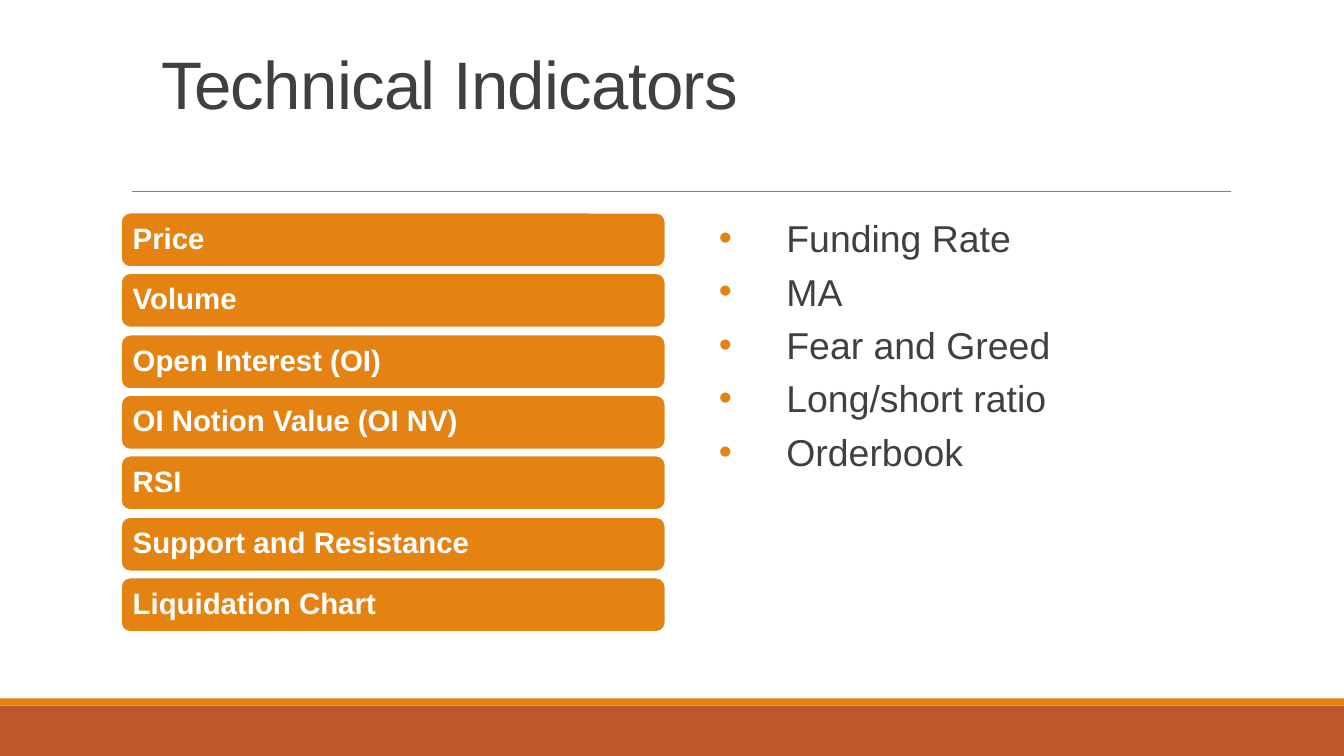
"""Build the Technical Indicators slide."""
from lxml import etree
from pptx import Presentation
from pptx.dml.color import RGBColor
from pptx.enum.shapes import MSO_CONNECTOR, MSO_SHAPE
from pptx.enum.text import MSO_ANCHOR, MSO_AUTO_SIZE, PP_ALIGN
from pptx.oxml.ns import qn
from pptx.util import Emu, Pt

RECTANGLE = MSO_SHAPE.RECTANGLE
ROUNDED = MSO_SHAPE.ROUNDED_RECTANGLE
STRAIGHT = MSO_CONNECTOR.STRAIGHT
TOP = MSO_ANCHOR.TOP
MIDDLE = MSO_ANCHOR.MIDDLE
LEFT = PP_ALIGN.LEFT

EMU_PER_PX = 9144
SLIDE_WIDTH, SLIDE_HEIGHT = 1333, 750
FONT = "Arial"
ORANGE = RGBColor(0xE4, 0x83, 0x12)
RUST = RGBColor(0xBD, 0x58, 0x2C)
WHITE = RGBColor(0xFF, 0xFF, 0xFF)
DARK = RGBColor(0x40, 0x40, 0x40)
GRAY = RGBColor(0x80, 0x80, 0x80)

INDICATORS = ["Price", "Volume", "Open Interest (OI)", "OI Notion Value (OI NV)",
              "RSI", "Support and Resistance", "Liquidation Chart"]
MORE_INDICATORS = ["Funding Rate", "MA", "Fear and Greed", "Long/short ratio",
                   "Orderbook"]
FIRST_BAR_TOP, LAST_BAR_TOP = 211, 573


def px(length):
    return Emu(length * EMU_PER_PX)


def set_margins(text_frame, horizontal, vertical):
    text_frame.margin_left = text_frame.margin_right = px(horizontal)
    text_frame.margin_top = text_frame.margin_bottom = px(vertical)


def style_font(font, size, color, bold=False):
    font.name = FONT
    font.size = Pt(size)
    font.bold = bold
    font.color.rgb = color


def add_block(slide, kind, left, top, width, height, fill):
    shape = slide.shapes.add_shape(kind, px(left), px(top), px(width), px(height))
    shape.shadow.inherit = False
    shape.fill.solid()
    shape.fill.fore_color.rgb = fill
    shape.line.fill.background()
    return shape


def add_rule(slide, left, right, y):
    rule = slide.shapes.add_connector(STRAIGHT, px(left), px(y), px(right), px(y))
    rule.line.color.rgb = GRAY
    rule.line.width = Pt(0.5)
    etree.SubElement(rule._element.spPr, qn("a:effectLst"))


def format_title(slide, text):
    title = slide.shapes.title
    title.left, title.top, title.width, title.height = map(px, (160, 42, 1467, 81))
    text_frame = title.text_frame
    text_frame.text = text
    text_frame.auto_size = MSO_AUTO_SIZE.SHAPE_TO_FIT_TEXT
    text_frame.vertical_anchor = TOP
    set_margins(text_frame, 0, 0)
    paragraph = text_frame.paragraphs[0]
    paragraph.alignment = LEFT
    run = paragraph.runs[0]
    style_font(run.font, 48, DARK)
    run.font._element.set("spc", "-50")


def add_indicator_bar(slide, text, top):
    bar = add_block(slide, ROUNDED, 120, top, 540, 54, ORANGE)
    bar.line.color.rgb = WHITE
    bar.line.width = Pt(1.25)
    text_frame = bar.text_frame
    text_frame.text = text
    text_frame.word_wrap = True
    text_frame.vertical_anchor = MIDDLE
    set_margins(text_frame, 9, 9)
    paragraph = text_frame.paragraphs[0]
    paragraph.alignment = LEFT
    paragraph.line_spacing = 0.9
    style_font(paragraph.runs[0].font, 21, WHITE, bold=True)


def add_bullet(paragraph):
    properties = paragraph._p.get_or_add_pPr()
    properties.set("marL", str(px(100)))
    properties.set("indent", str(px(-67)))
    color = etree.SubElement(properties, qn("a:buClr"))
    etree.SubElement(color, qn("a:srgbClr"), val=str(ORANGE))
    etree.SubElement(properties, qn("a:buFont"), typeface=FONT)
    etree.SubElement(properties, qn("a:buChar"), char="•")


def add_bullet_list(slide, items):
    box = slide.shapes.add_textbox(px(680), px(202), px(540), px(440))
    text_frame = box.text_frame
    text_frame.text = "\n".join(items)
    text_frame.word_wrap = True
    set_margins(text_frame, 0, 5)
    for paragraph in text_frame.paragraphs:
        add_bullet(paragraph)
        paragraph.line_spacing = 1.15
        paragraph.space_after = Pt(1.3)
        style_font(paragraph.runs[0].font, 26.7, DARK)


def main():
    presentation = Presentation()
    presentation.slide_width = px(SLIDE_WIDTH)
    presentation.slide_height = px(SLIDE_HEIGHT)
    slide = presentation.slides.add_slide(presentation.slide_layouts[5])
    add_block(slide, RECTANGLE, 0, 700, SLIDE_WIDTH, 50, RUST)
    add_block(slide, RECTANGLE, 0, 693, SLIDE_WIDTH, 7, ORANGE)
    add_rule(slide, 131, 1221, 190)
    format_title(slide, "Technical Indicators")
    pitch = (LAST_BAR_TOP - FIRST_BAR_TOP) / (len(INDICATORS) - 1)
    for index, indicator in enumerate(INDICATORS):
        add_indicator_bar(slide, indicator, round(FIRST_BAR_TOP + index * pitch))
    add_bullet_list(slide, MORE_INDICATORS)
    presentation.save("out.pptx")


if __name__ == "__main__":
    main()
